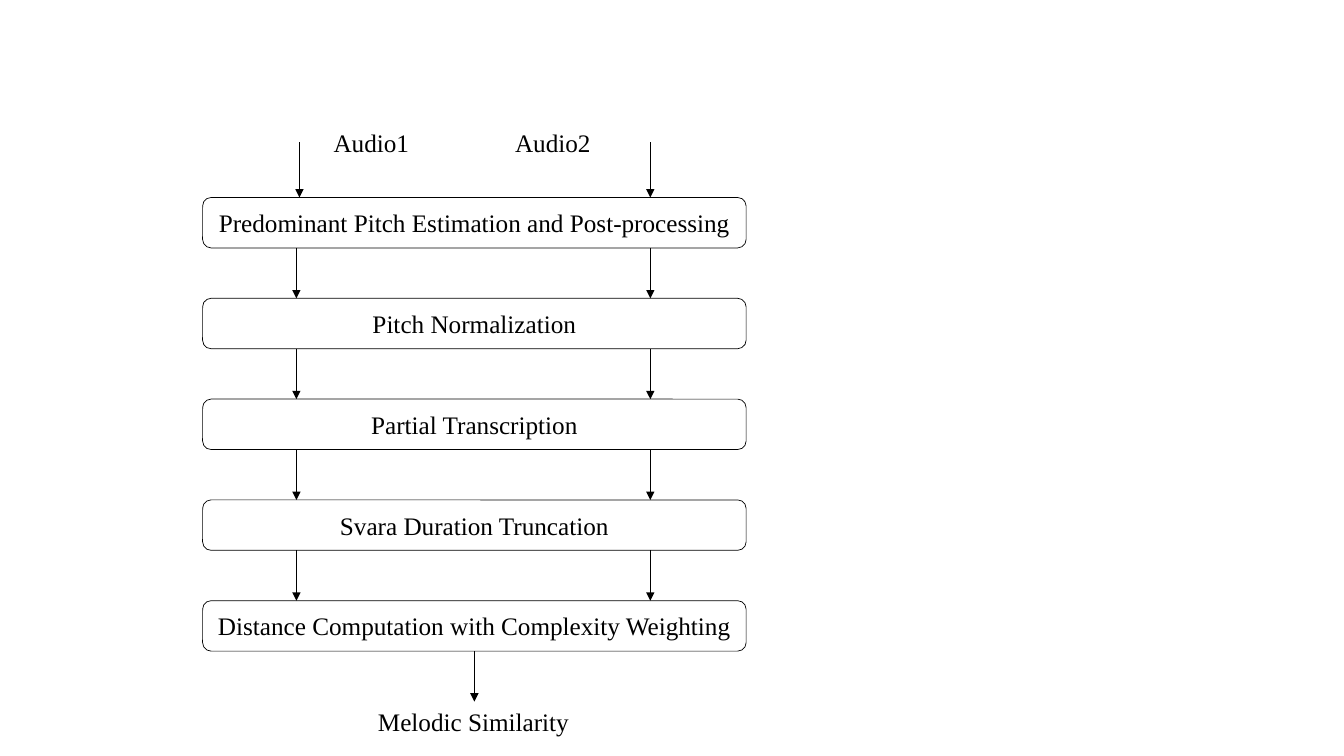
from dataclasses import dataclass

from lxml import etree
from pptx import Presentation, util as u
from pptx.dml.color import RGBColor
from pptx.enum import shapes, text
from pptx.oxml import ns


@dataclass(frozen=True)
class Theme:
    font: str = "Times New Roman"
    size: float = 18
    ink: RGBColor = RGBColor(0, 0, 0)
    line_width: float = 0.5


THEME = Theme()
STEPS = (
    "Predominant Pitch Estimation and Post-processing",
    "Pitch Normalization",
    "Partial Transcription",
    "Svara Duration Truncation",
    "Distance Computation with Complexity Weighting",
)
STEP_LEFT, STEP_WIDTH, STEP_HEIGHT = 2.01, 5.39, 0.5
FIRST_TOP, ROW_PITCH = 1.96, 1.0
AUDIO1_X, AUDIO2_X = 2.94, 6.45
INPUT_X, INPUT_TOP = 2.97, 1.41
LABEL_HEIGHT = 0.4


def row_top(row):
    return FIRST_TOP + row * ROW_PITCH


def style_line(line):
    line.color.rgb = THEME.ink
    line.width = u.Pt(THEME.line_width)


def write_text(shape, words, alignment):
    paragraph = shape.text_frame.paragraphs[0]
    paragraph.text = words
    paragraph.alignment = alignment
    paragraph.font.name = THEME.font
    paragraph.font.size = u.Pt(THEME.size)
    paragraph.font.color.rgb = THEME.ink


def add_step(slide, row, words):
    box = (STEP_LEFT, row_top(row), STEP_WIDTH, STEP_HEIGHT)
    shape = slide.shapes.add_shape(
        shapes.MSO_SHAPE.ROUNDED_RECTANGLE, *map(u.Inches, box))
    shape.shadow.inherit = False
    shape.fill.background()
    style_line(shape.line)
    shape.text_frame.vertical_anchor = text.MSO_ANCHOR.MIDDLE
    write_text(shape, words, text.PP_ALIGN.CENTER)


def add_label(slide, left, top, width, words):
    shape = slide.shapes.add_textbox(
        *map(u.Inches, (left, top, width, LABEL_HEIGHT)))
    shape.text_frame.word_wrap = False
    shape.text_frame.auto_size = text.MSO_AUTO_SIZE.SHAPE_TO_FIT_TEXT
    write_text(shape, words, text.PP_ALIGN.LEFT)


def add_down_arrow(slide, x, top, bottom):
    arrow = slide.shapes.add_connector(
        shapes.MSO_CONNECTOR.STRAIGHT, *map(u.Inches, (x, top, x, bottom)))
    style_line(arrow.line)
    etree.SubElement(arrow.line._get_or_add_ln(), ns.qn("a:tailEnd"), type="triangle")
    etree.SubElement(arrow._element.spPr, ns.qn("a:effectLst"))


def main():
    presentation = Presentation()
    presentation.slide_width = u.Inches(13.33)
    presentation.slide_height = u.Inches(7.5)
    slide = presentation.slides.add_slide(presentation.slide_layouts[6])

    for row, words in enumerate(STEPS):
        add_step(slide, row, words)

    for x in (INPUT_X, AUDIO2_X):
        add_down_arrow(slide, x, INPUT_TOP, FIRST_TOP)
    for row in range(len(STEPS) - 1):
        for x in (AUDIO1_X, AUDIO2_X):
            add_down_arrow(slide, x, row_top(row) + STEP_HEIGHT, row_top(row + 1))

    output_top = row_top(len(STEPS))
    add_down_arrow(slide, STEP_LEFT + STEP_WIDTH / 2,
                   output_top - STEP_HEIGHT, output_top)

    add_label(slide, 3.21, 1.21, 0.96, "Audio1")
    add_label(slide, 5.01, 1.21, 0.96, "Audio2")
    add_label(slide, 3.65, output_top, 2.12, "Melodic Similarity")

    presentation.save("out.pptx")


main()
